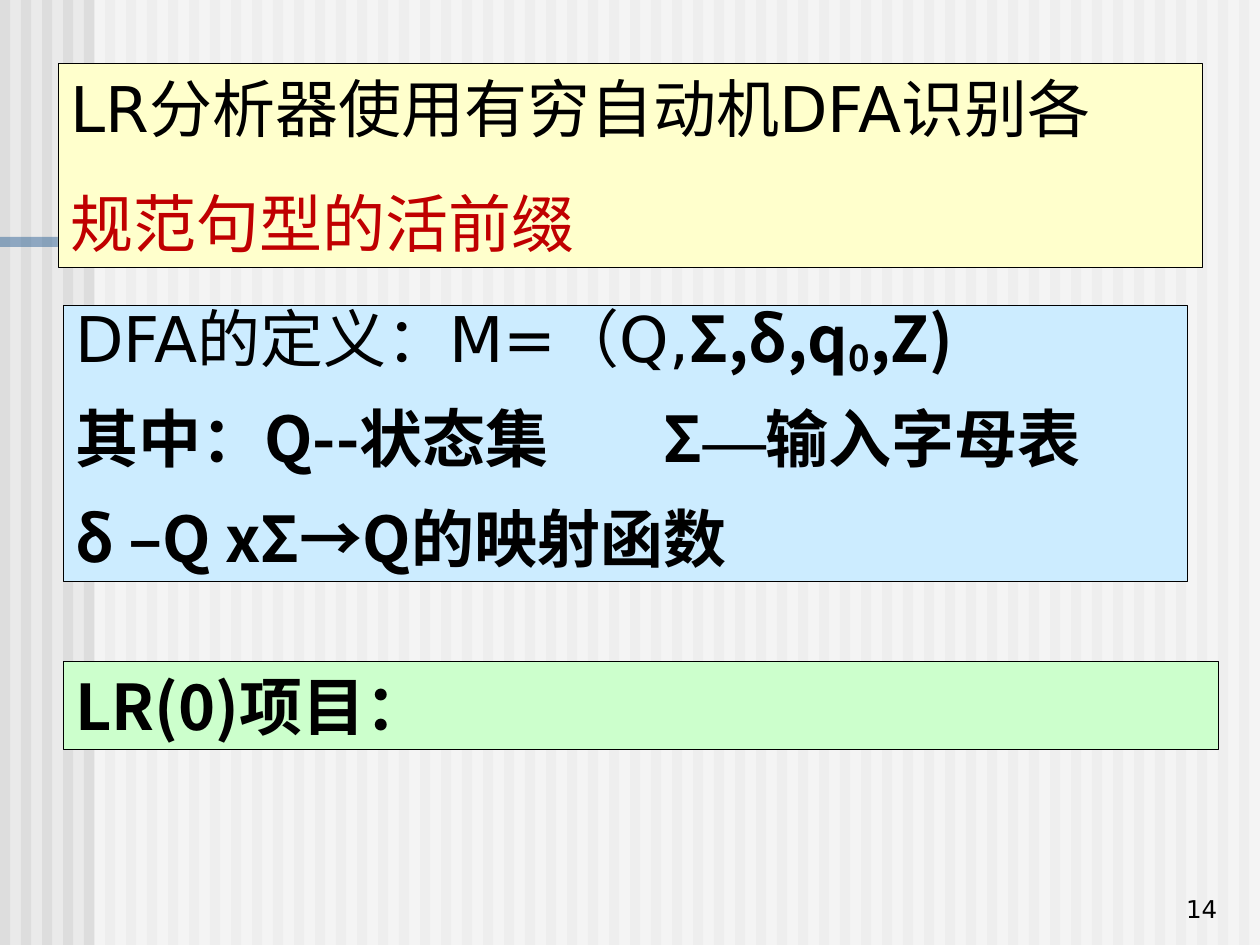
from lxml.etree import SubElement
from pptx import Presentation
from pptx.dml.color import RGBColor
from pptx.enum.shapes import MSO_SHAPE
from pptx.enum.text import MSO_ANCHOR, PP_ALIGN
from pptx.oxml.ns import qn
from pptx.util import Inches, Pt

BLACK = RGBColor(0x00, 0x00, 0x00)
WHITE = RGBColor(0xFF, 0xFF, 0xFF)
RED = RGBColor(0xC0, 0x00, 0x00)
BACKDROP = RGBColor(0xEA, 0xEA, 0xEA)
STRIPE = RGBColor(0xDD, 0xDD, 0xDD)
ACCENT = RGBColor(0x33, 0x66, 0x99)
YELLOW = RGBColor(0xFF, 0xFF, 0xCC)
BLUE = RGBColor(0xCC, 0xEC, 0xFF)
GREEN = RGBColor(0xCC, 0xFF, 0xCC)

# Text styles: (Latin font, East Asian font, bold, colour, baseline in percent)
SANS, CJK_SC, CJK_JP = "DejaVu Sans", "Noto Sans CJK SC", "Noto Sans CJK JP"
PLAIN = (SANS, CJK_SC, False, BLACK, 0)
KEY = (SANS, CJK_SC, False, RED, 0)
BOLD = (CJK_JP, CJK_JP, True, BLACK, 0)
SYMBOL = (CJK_SC, CJK_SC, True, BLACK, 0)
SUBSCRIPT = (CJK_JP, CJK_JP, True, BLACK, -15)
DASH = ("Times New Roman", "Times New Roman", True, BLACK, 0)

# Panels: (left, top, width, height), fill, line spacing, paragraphs of (text, style)
PANELS = [
    ((0.5, 2.42, 8.92, 2.19), BLUE, 0.8, [
        [("DFA的定义：M=（Q,", PLAIN), ("Σ,", SYMBOL), ("δ,q", BOLD),
         ("0", SUBSCRIPT), (",Z)", BOLD)],
        [("其中：Q--状态集\tΣ", BOLD), ("—", DASH), ("输入字母表", BOLD)],
        [("δ –Q x", BOLD), ("Σ→", SYMBOL), ("Q的映射函数", BOLD)],
    ]),
    ((0.46, 0.5, 9.08, 1.62), YELLOW, 1.0, [
        [("LR分析器使用有穷自动机DFA识别各", PLAIN)],
        [("规范句型的活前缀", KEY)],
    ]),
    ((0.5, 5.25, 9.17, 0.7), GREEN, 1.0, [
        [("LR(0)项目：", BOLD)],
    ]),
]
ALPHABET_TAB = 4.67  # where the second definition starts, from the text edge
PAGE_NUMBER = "14"

prs = Presentation()
prs.slide_width, prs.slide_height = Inches(10), Inches(7.5)
slide = prs.slides.add_slide(prs.slide_layouts[6])
slide.background.fill.solid()
slide.background.fill.fore_color.rgb = BACKDROP


def add_rect(box, color, opacity=100):
    rect = slide.shapes.add_shape(MSO_SHAPE.RECTANGLE, *map(Inches, box))
    rect.shadow.inherit = False
    rect.fill.solid()
    rect.fill.fore_color.rgb = color
    rect.line.fill.background()
    if opacity < 100:
        srgb = rect.fill._xPr.find(".//" + qn("a:srgbClr"))
        SubElement(srgb, qn("a:alpha"), val=str(opacity * 1000))
    return rect


def add_run(paragraph, text, size, style):
    latin, east_asian, bold, color, baseline = style
    run = paragraph.add_run()
    run.text = text
    run.font.size = Pt(size)
    run.font.bold = bold
    run.font.color.rgb = color
    run.font.name = latin
    props = run._r.get_or_add_rPr()
    SubElement(props, qn("a:ea"), typeface=east_asian)
    if baseline:
        props.set("baseline", str(baseline * 1000))


def add_panel(box, color, spacing, paragraphs):
    panel = add_rect(box, color)
    panel.line.color.rgb = BLACK
    panel.line.width = Pt(0.25)
    frame = panel.text_frame
    frame.word_wrap = True
    frame.vertical_anchor = MSO_ANCHOR.TOP
    for i, runs in enumerate(paragraphs):
        paragraph = frame.add_paragraph() if i else frame.paragraphs[0]
        paragraph.alignment = PP_ALIGN.LEFT
        paragraph.line_spacing = spacing
        paragraph.space_before = Pt(22.5 if i else 0)
        if any("\t" in text for text, _ in runs):
            tabs = SubElement(paragraph._p.get_or_add_pPr(), qn("a:tabLst"))
            SubElement(tabs, qn("a:tab"), pos=str(Inches(ALPHABET_TAB)), algn="l")
        for text, style in runs:
            add_run(paragraph, text, 36, style)


# Striped backdrop: a stripe every sixth of an inch, veiled right of the margin
for i in range(60):
    add_rect((i / 6, 0, 0.08, 7.5), STRIPE)
add_rect((0.75, 0, 9.25, 7.5), WHITE, 50)
add_rect((0, 1.88, 7.6, 0.08), ACCENT, 50)

# Page number
page_box = slide.shapes.add_textbox(*map(Inches, (7.68, 6.88, 2.08, 0.5)))
page_box.text_frame.word_wrap = True
page_box.text_frame.vertical_anchor = MSO_ANCHOR.BOTTOM
page_line = page_box.text_frame.paragraphs[0]
page_line.alignment = PP_ALIGN.RIGHT
add_run(page_line, PAGE_NUMBER, 14, PLAIN)

# Text panels
for panel in PANELS:
    add_panel(*panel)

prs.save("out.pptx")
